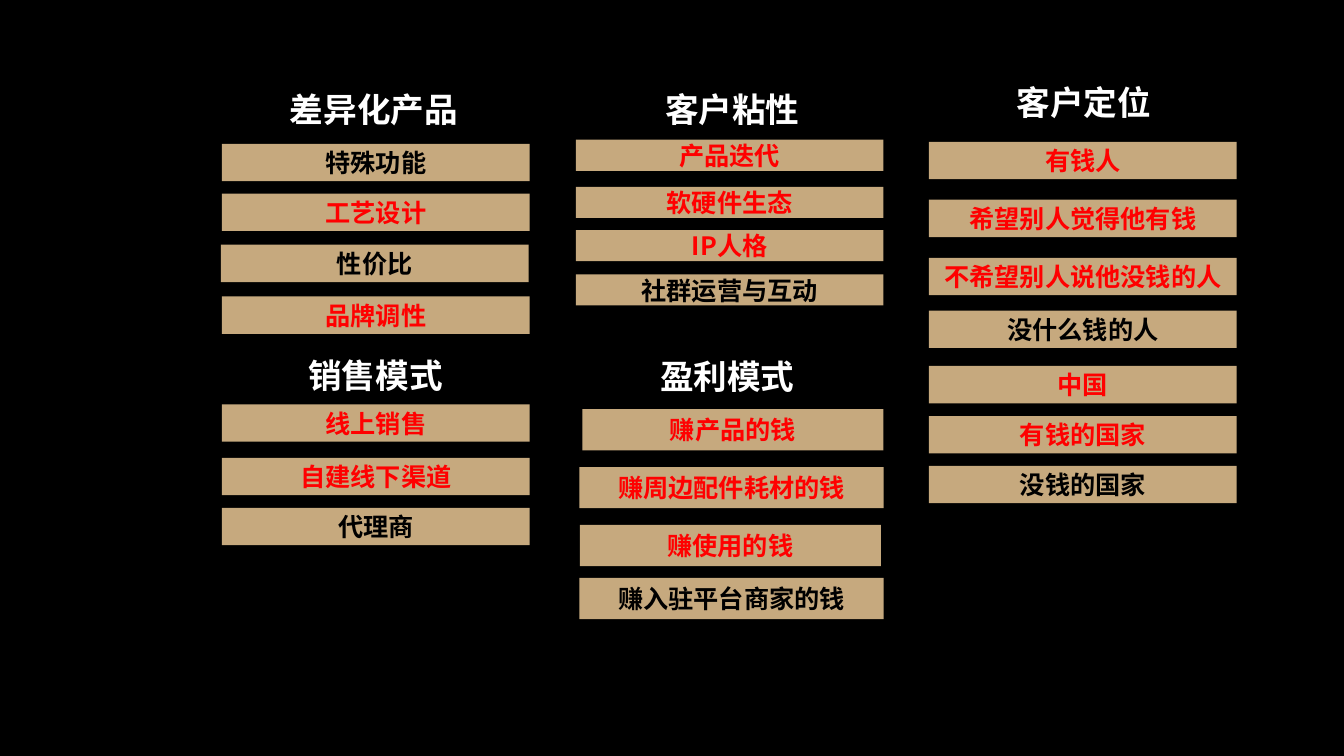
"""Build a one-slide overview of five business model themes with their options."""
import dataclasses

import pptx
import pptx.dml.color
import pptx.enum.shapes
import pptx.enum.text
import pptx.oxml.ns
import pptx.util

Pt = pptx.util.Pt
RGB = pptx.dml.color.RGBColor.from_string


@dataclasses.dataclass(frozen=True)
class Theme:
    back: str = "000000"
    bar: str = "C6A97E"
    head: str = "FFFFFF"
    hot: str = "FF0000"
    plain: str = "000000"
    face: str = "Noto Sans CJK SC"
    head_size: int = 24
    bar_size: int = 18


class Board:
    def __init__(self, slide, theme):
        self.slide = slide
        self.theme = theme
        fill = slide.background.fill
        fill.solid()
        fill.fore_color.rgb = RGB(theme.back)

    def label(self, shape, text, size, color, anchor):
        frame = shape.text_frame
        frame.text = text
        frame.word_wrap = True
        frame.auto_size = pptx.enum.text.MSO_AUTO_SIZE.NONE
        frame.vertical_anchor = anchor
        para = frame.paragraphs[0]
        para.alignment = pptx.enum.text.PP_ALIGN.CENTER
        para.space_before = Pt(0)
        for run in para.runs:
            font = run.font
            font.name = self.theme.face
            font.size = Pt(size)
            font.bold = True
            font.color.rgb = RGB(color)
            props = run._r.get_or_add_rPr()
            east = props.makeelement(pptx.oxml.ns.qn("a:ea"), {"typeface": self.theme.face})
            props.find(pptx.oxml.ns.qn("a:latin")).addnext(east)

    def head(self, holder, text, box):
        holder.left, holder.top, holder.width, holder.height = map(Pt, box)
        self.label(holder, text, self.theme.head_size, self.theme.head,
                   pptx.enum.text.MSO_ANCHOR.TOP)
        props = holder.text_frame.paragraphs[0]._p.get_or_add_pPr()
        props.set("marL", "0")
        props.set("indent", "0")
        props.append(props.makeelement(pptx.oxml.ns.qn("a:buNone"), {}))

    def bar(self, text, box, hot):
        shape = self.slide.shapes.add_shape(
            pptx.enum.shapes.MSO_SHAPE.RECTANGLE, *map(Pt, box))
        shape.shadow.inherit = False
        shape.fill.solid()
        shape.fill.fore_color.rgb = RGB(self.theme.bar)
        shape.line.fill.background()
        color = self.theme.hot if hot else self.theme.plain
        self.label(shape, text, self.theme.bar_size, color,
                   pptx.enum.text.MSO_ANCHOR.MIDDLE)


WIDE = 219.8
GROUPS = [
    ("差异化产品", (138.2, 59.8, 257.8, 211.7), 26.7, [
        ("特殊功能", 158.6, 102.8, WIDE, False),
        ("工艺设计", 158.6, 138.3, WIDE, True),
        ("性价比", 157.8, 174.8, WIDE, False),
        ("品牌调性", 158.6, 211.8, WIDE, True),
    ]),
    ("销售模式", (139.7, 249.8, 257, 148.3), 26.7, [
        ("线上销售", 158.6, 288.8, WIDE, True),
        ("自建线下渠道", 158.6, 327, WIDE, True),
        ("代理商", 158.6, 362.8, WIDE, False),
    ]),
    ("客户粘性", (394.6, 59.8, 257, 165.6), 22.2, [
        ("产品迭代", 411.3, 99.8, WIDE, True),
        ("软硬件生态", 411.3, 133.4, WIDE, True),
        ("IP人格", 411.3, 164.3, WIDE, True),
        ("社群运营与互动", 411.3, 196, WIDE, False),
    ]),
    ("盈利模式", (334.8, 250.6, 369.4, 128.2), 29.4, [
        ("赚产品的钱", 416, 292.3, 215, True),
        ("赚周边配件耗材的钱", 413.8, 333.6, 217.4, True),
        ("赚使用的钱", 414.2, 375, 215, True),
        ("赚入驻平台商家的钱", 413.8, 412.8, 217.4, False),
    ]),
    ("客户定位", (645.8, 54.7, 257, 334.8), 26.7, [
        ("有钱人", 663.6, 101.3, WIDE, True),
        ("希望别人觉得他有钱", 663.6, 142.7, WIDE, True),
        ("不希望别人说他没钱的人", 663.6, 184.2, WIDE, True),
        ("没什么钱的人", 663.6, 221.9, WIDE, False),
        ("中国", 663.6, 261.4, WIDE, True),
        ("有钱的国家", 663.6, 297.2, WIDE, True),
        ("没钱的国家", 663.6, 332.8, WIDE, False),
    ]),
]


def main():
    deck = pptx.Presentation()
    deck.slide_width, deck.slide_height = Pt(960), Pt(540)
    slide = deck.slides.add_slide(deck.slide_layouts.get_by_name("Comparison"))
    board = Board(slide, Theme())
    holders = list(slide.placeholders)
    for holder, (title, area, height, bars) in zip(holders, GROUPS):
        board.head(holder, title, area)
        for text, left, top, width, hot in bars:
            board.bar(text, (left, top, width, height), hot)
    deck.save("out.pptx")


if __name__ == "__main__":
    main()
